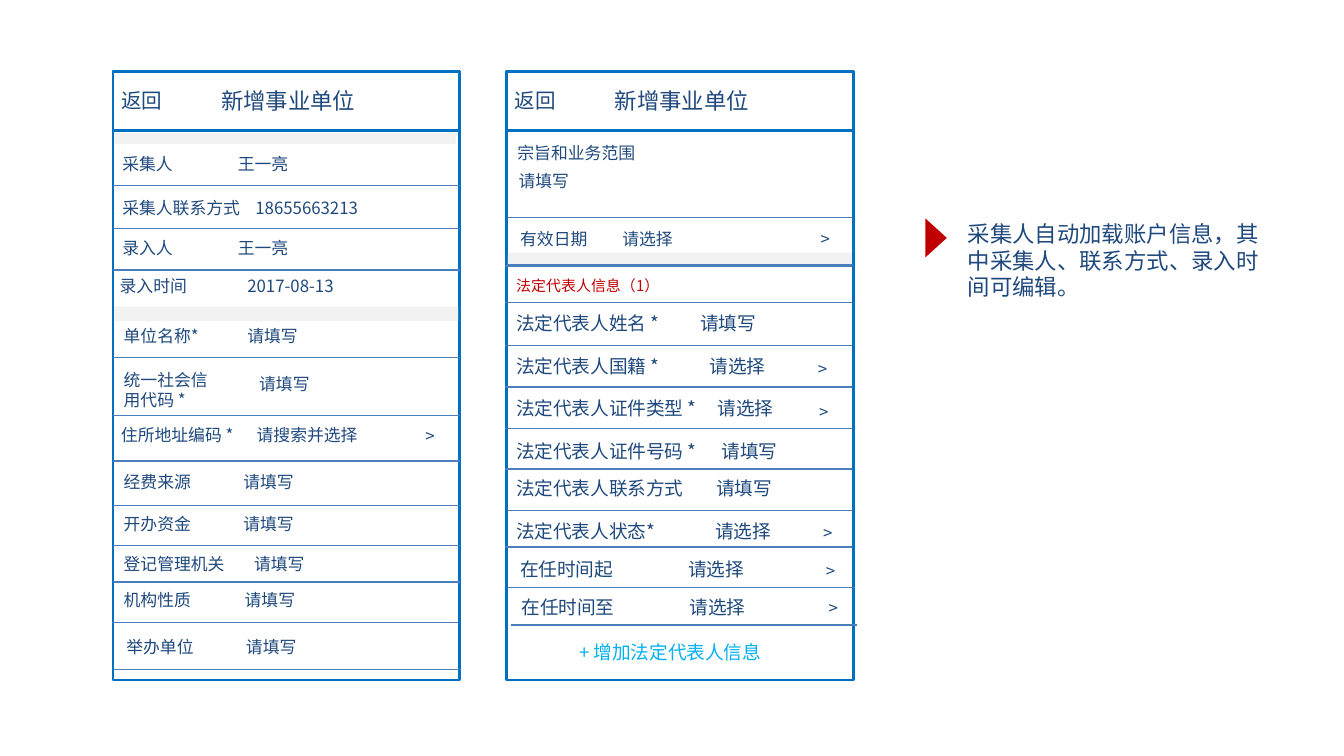
from dataclasses import dataclass
from typing import Optional

import pptx
import pptx.dml.color
import pptx.enum.shapes
import pptx.enum.text
import pptx.oxml.ns
import pptx.util
from lxml import etree
from pptx.util import Inches

RGBColor = pptx.dml.color.RGBColor
Shape = pptx.enum.shapes.MSO_SHAPE
Align = pptx.enum.text.PP_ALIGN
Anchor = pptx.enum.text.MSO_ANCHOR

FONT = "Noto Sans CJK SC"
NAVY = RGBColor(0x1F, 0x49, 0x7D)
FRAME_BLUE = RGBColor(0x00, 0x70, 0xC0)
RULE_BLUE = RGBColor(0x4B, 0x7E, 0xBC)
SKY = RGBColor(0x00, 0xB0, 0xF0)
RED = RGBColor(0xC0, 0x00, 0x00)
GREY = RGBColor(0xF2, 0xF2, 0xF2)
WHITE = RGBColor(0xFF, 0xFF, 0xFF)

PANEL_TOP, PANEL_WIDTH, PANEL_HEIGHT = 0.53, 2.58, 4.53
FIELD_WIDTH = 2.42


@dataclass
class Field:
    """A form row; value_left is where the value starts on the slide."""
    left: float
    top: float
    label: str
    value: str = ""
    value_left: float = 0
    size: int = 9
    height: float = 0.15
    color: RGBColor = NAVY


@dataclass
class Panel:
    left: float
    fields: list[Field]
    rules: list[tuple[float, float]]
    bands: list[tuple[float, float, float, float]]
    chevrons: list[tuple[float, float]]
    prompt: tuple[float, float]


def person_field(left: float, top: float, label: str, value: str, value_left: float) -> Field:
    return Field(left, top, label, value, value_left, 10, 0.17)


LEFT_PANEL = Panel(
    left=0.84,
    fields=[
        Field(0.91, 1.14, "采集人", "王一亮", 1.77),
        Field(0.91, 1.47, "采集人联系方式", "18655663213", 1.9),
        Field(0.91, 1.77, "录入人", "王一亮", 1.77),
        Field(0.89, 2.05, "录入时间", "2017-08-13", 1.84),
        Field(0.92, 2.42, "单位名称*", "请填写", 1.84),
        Field(0.92, 2.75, "统一社会信\n用代码 *", height=0.3),
        Field(0.9, 3.16, "住所地址编码 *", "请搜索并选择", 1.91),
        Field(0.92, 3.51, "经费来源", "请填写", 1.81),
        Field(0.92, 3.82, "开办资金", "请填写", 1.81),
        Field(0.92, 4.12, "登记管理机关", "请填写", 1.89),
        Field(0.92, 4.39, "机构性质", "请填写", 1.82),
        Field(0.94, 4.74, "举办单位", "请填写", 1.83),
    ],
    rules=[(0.84, y) for y in (1.38, 1.7, 2.01, 2.66, 3.09, 3.43, 3.76, 4.06, 4.33)]
    + [(0.83, 4.63), (0.85, 4.98)],
    bands=[(0.85, 0.99, 2.54, 0.08), (0.85, 2.28, 2.56, 0.11)],
    chevrons=[(2.95, 3.17)],
    prompt=(1.83, 2.73),
)

RIGHT_PANEL = Panel(
    left=3.77,
    fields=[
        Field(3.85, 1.06, "宗旨和业务范围"),
        Field(3.87, 1.7, "有效日期", "请选择", 4.63),
        Field(3.84, 2.06, "法定代表人信息（1）", size=8, height=0.13, color=RED),
        person_field(3.84, 2.32, "法定代表人姓名 *", "请填写", 5.21),
        person_field(3.84, 2.64, "法定代表人国籍 *", "请选择", 5.28),
        person_field(3.84, 2.95, "法定代表人证件类型 *", "请选择", 5.34),
        person_field(3.84, 3.27, "法定代表人证件号码 *", "请填写", 5.37),
        person_field(3.84, 3.55, "法定代表人联系方式", "请填写", 5.33),
        person_field(3.84, 3.87, "法定代表人状态*", "请选择", 5.32),
        person_field(3.87, 4.15, "在任时间起", "请选择", 5.12),
        person_field(3.88, 4.43, "在任时间至", "请选择", 5.13),
    ],
    rules=[(3.76, y) for y in (1.98, 2.25, 2.57, 2.88, 3.19, 3.49, 4.07)]
    + [(3.77, 1.62), (3.77, 1.97), (3.77, 3.8), (3.78, 4.37), (3.8, 4.65)],
    bands=[(3.78, 1.88, 2.56, 0.11)],
    chevrons=[(5.89, 1.7), (5.87, 2.67), (5.88, 2.99), (5.91, 3.89), (5.93, 4.17), (5.95, 4.45)],
    prompt=(3.76, 1.22),
)


def add_block(slide, left: float, top: float, width: float, height: float,
              fill: Optional[RGBColor] = WHITE, line: Optional[RGBColor] = None,
              kind=Shape.RECTANGLE):
    shape = slide.shapes.add_shape(kind, Inches(left), Inches(top), Inches(width), Inches(height))
    shape.shadow.inherit = False
    if fill is None:
        shape.fill.background()
    else:
        shape.fill.solid()
        shape.fill.fore_color.rgb = fill
    if line is None:
        shape.line.fill.background()
    else:
        shape.line.color.rgb = line
        shape.line.width = pptx.util.Pt(1.5)
    return shape


def write(shape, text: str, size: int, color: RGBColor = NAVY, align=Align.LEFT,
          inset: Optional[float] = 0, wrap: bool = True, tab: float = 0) -> None:
    """Set the text of a shape; inset None keeps the default margins."""
    frame = shape.text_frame
    frame.word_wrap = wrap
    if inset is not None:
        frame.margin_left = Inches(inset)
        frame.margin_right = frame.margin_top = frame.margin_bottom = 0
    frame.text = text
    for paragraph in frame.paragraphs:
        paragraph.alignment = align
        if tab:
            properties = paragraph._p.get_or_add_pPr()
            tabs = etree.SubElement(properties, pptx.oxml.ns.qn("a:tabLst"))
            etree.SubElement(tabs, pptx.oxml.ns.qn("a:tab"), pos=str(Inches(tab)), algn="l")
        for run in paragraph.runs:
            run.font.size = pptx.util.Pt(size)
            run.font.name = FONT
            run.font.color.rgb = color
            etree.SubElement(run.font._element, pptx.oxml.ns.qn("a:ea"), typeface=FONT)


def add_label(slide, left: float, top: float, width: float, height: float, text: str,
              size: int, **options) -> None:
    box = slide.shapes.add_textbox(Inches(left), Inches(top), Inches(width), Inches(height))
    write(box, text, size, **options)


def add_field(slide, field: Field) -> None:
    shape = add_block(slide, field.left, field.top, FIELD_WIDTH, field.height)
    shape.text_frame.vertical_anchor = Anchor.MIDDLE
    text = f"{field.label}\t{field.value}" if field.value else field.label
    tab = field.value_left - field.left if field.value else 0
    write(shape, text, field.size, field.color, tab=tab)


def add_rule(slide, left: float, top: float) -> None:
    rule = slide.shapes.add_connector(
        pptx.enum.shapes.MSO_CONNECTOR.STRAIGHT,
        Inches(left), Inches(top), Inches(left + PANEL_WIDTH), Inches(top))
    rule.line.color.rgb = RULE_BLUE
    rule.line.width = pptx.util.Pt(0.75)
    etree.SubElement(rule._element.spPr, pptx.oxml.ns.qn("a:effectLst"))


def add_panel(slide, panel: Panel) -> None:
    # Title bar and frame
    add_block(slide, panel.left, PANEL_TOP, PANEL_WIDTH, 0.44, line=FRAME_BLUE)
    add_label(slide, panel.left + 0.59, 0.6, 1.43, 0.3, "新增事业单位", 12,
              align=Align.CENTER, inset=None)
    add_block(slide, panel.left, PANEL_TOP, PANEL_WIDTH, PANEL_HEIGHT, None, FRAME_BLUE)
    back = add_block(slide, panel.left + 0.03, 0.66, 0.37, 0.17)
    write(back, "返回", 11, align=Align.CENTER)
    # Form rows
    for field in panel.fields:
        add_field(slide, field)
    for band in panel.bands:
        add_block(slide, *band, fill=GREY)
    for left, top in panel.rules:
        add_rule(slide, left, top)
    add_label(slide, *panel.prompt, 0.58, 0.25, "请填写", 9, inset=None, wrap=False)
    for left, top in panel.chevrons:
        add_label(slide, left, top, 0.39, 0.15, ">", 9, align=Align.CENTER, inset=0.11)


def main() -> None:
    presentation = pptx.Presentation()
    # Widescreen page, 16 to 9
    presentation.slide_width = Inches(10)
    presentation.slide_height = Inches(10 * 9 / 16)
    slide = presentation.slides.add_slide(presentation.slide_layouts[6])

    # Two phone screens
    for panel in (LEFT_PANEL, RIGHT_PANEL):
        add_panel(slide, panel)
    add_button = add_block(slide, 4.31, 4.77, 1.63, 0.17)
    write(add_button, "+ 增加法定代表人信息", 10, SKY)

    # Side note with its pointer
    note = add_block(slide, 7.2, 1.63, 2.28, 0.61)
    write(note, "采集人自动加载账户信息，其中采集人、联系方式、录入时间可编辑。", 12)
    pointer = add_block(slide, 6.82, 1.69, 0.29, 0.16, RED, kind=Shape.ISOSCELES_TRIANGLE)
    pointer.rotation = 90

    presentation.save("out.pptx")


if __name__ == "__main__":
    main()
